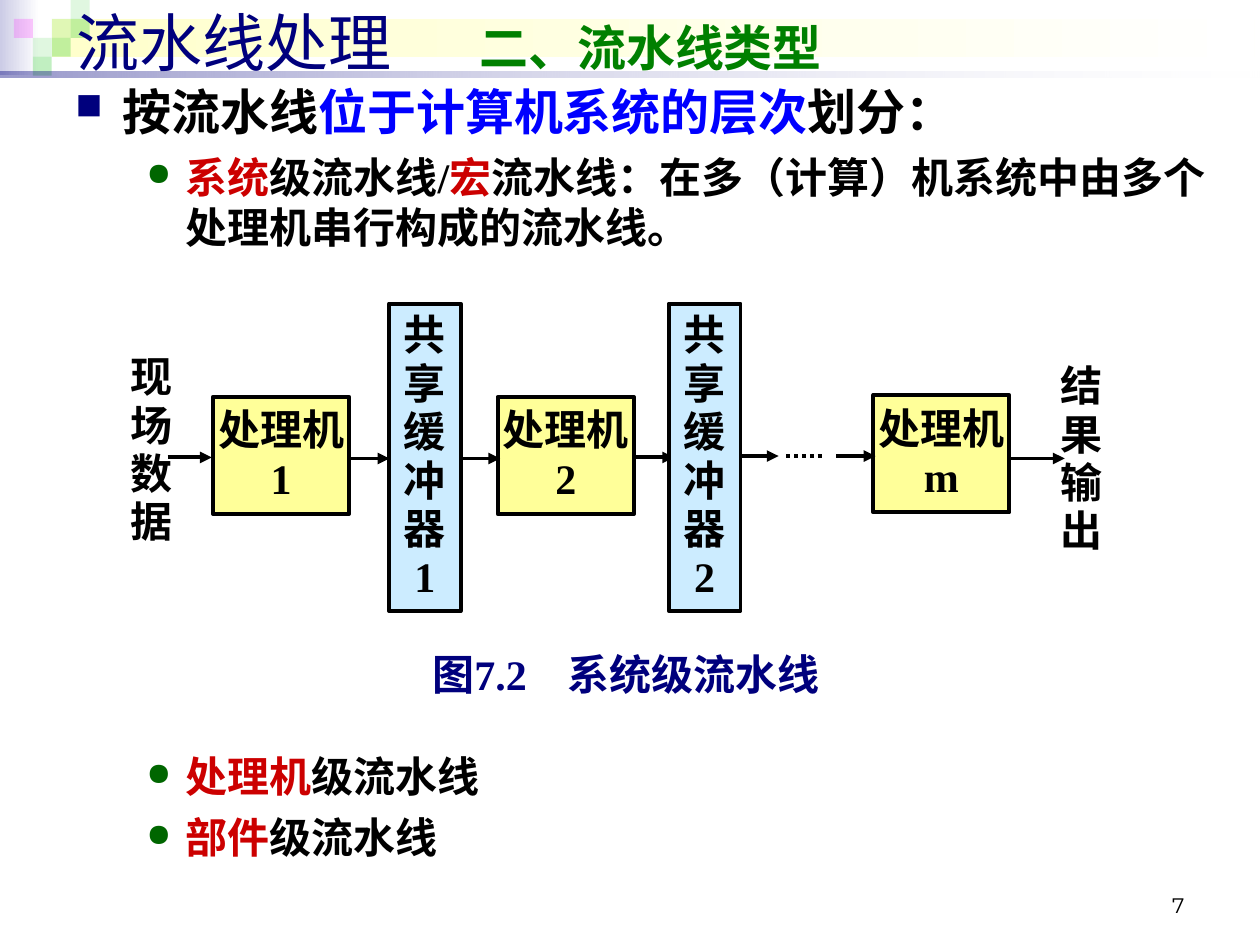
from lxml.etree import SubElement
from pptx import Presentation
from pptx.dml.color import RGBColor
from pptx.enum.dml import MSO_LINE
from pptx.enum.lang import MSO_LANGUAGE_ID
from pptx.enum.shapes import MSO_CONNECTOR, MSO_SHAPE
from pptx.enum.text import MSO_ANCHOR, MSO_AUTO_SIZE, PP_ALIGN
from pptx.oxml.ns import qn
from pptx.util import Pt

NAVY, BLACK, RED, GREEN = "00007D", "000000", "CC0000", "33CC33"


def rgb(color):
    return RGBColor.from_string(color)


def add_text(frame, text, size=24, font="Times New Roman", color=BLACK, bold=True,
             align=PP_ALIGN.LEFT, spacing=None, before=0, indent=None, bullet=None, tab=None):
    """Add one paragraph; text is a string or a list of (text, color) runs."""
    paragraph = frame.paragraphs[0]
    if paragraph.runs:
        paragraph = frame.add_paragraph()
    paragraph.alignment = align
    paragraph.space_before = Pt(before)
    if spacing:
        paragraph.line_spacing = spacing
    properties = paragraph._p.get_or_add_pPr()
    if indent:
        margin, hanging = indent
        properties.set("marL", str(Pt(margin)))
        properties.set("indent", str(-Pt(hanging)))
    if bullet:
        symbol, symbol_color = bullet
        SubElement(SubElement(properties, qn("a:buClr")), qn("a:srgbClr"), val=symbol_color)
        SubElement(properties, qn("a:buSzPct"), val="75000")
        SubElement(properties, qn("a:buChar"), char=symbol)
    if tab:
        stops = SubElement(properties, qn("a:tabLst"))
        SubElement(stops, qn("a:tab"), pos=str(Pt(tab)), algn="l")
    for part, part_color in [(text, color)] if isinstance(text, str) else text:
        run = paragraph.add_run()
        run.text = part
        run.font.size, run.font.name, run.font.bold = Pt(size), font, bold
        run.font.color.rgb = rgb(part_color)
        run.font.language_id = MSO_LANGUAGE_ID.SIMPLIFIED_CHINESE
    return paragraph


def set_frame(frame, inset=0, anchor=MSO_ANCHOR.TOP):
    frame.word_wrap = True
    frame.auto_size = MSO_AUTO_SIZE.NONE
    frame.vertical_anchor = anchor
    frame.margin_left = frame.margin_right = Pt(2 * inset)
    frame.margin_top = frame.margin_bottom = Pt(inset)
    return frame


def add_textbox(slide, box, **layout):
    return set_frame(slide.shapes.add_textbox(*map(Pt, box)).text_frame, **layout)


def add_rectangle(slide, box, colors, alphas=(), border=None):
    """Two colors give a left-to-right gradient; alphas are percentages."""
    rectangle = slide.shapes.add_shape(MSO_SHAPE.RECTANGLE, *map(Pt, box))
    rectangle.shadow.inherit = False
    if len(colors) == 2:
        rectangle.fill.gradient()
        rectangle.fill.gradient_angle = 0
        for stop, color in zip(rectangle.fill.gradient_stops, colors):
            stop.color.rgb = rgb(color)
    else:
        rectangle.fill.solid()
        rectangle.fill.fore_color.rgb = rgb(colors[0])
    for color_element, alpha in zip(rectangle._element.spPr.iter(qn("a:srgbClr")), alphas):
        SubElement(color_element, qn("a:alpha"), val=str(alpha * 1000))
    if border:
        rectangle.line.color.rgb = rgb(border)
        rectangle.line.width = Pt(2.25)
    else:
        rectangle.line.fill.background()
    return rectangle


def add_line(slide, start, end, y, dotted=False):
    line = slide.shapes.add_connector(MSO_CONNECTOR.STRAIGHT, Pt(start), Pt(y), Pt(end), Pt(y))
    line.line.color.rgb = rgb(BLACK)
    line.line.width = Pt(2.25)
    if dotted:
        line.line.dash_style = MSO_LINE.ROUND_DOT
    else:
        SubElement(line.line._get_or_add_ln(), qn("a:tailEnd"), type="triangle")
    SubElement(line._element.spPr, qn("a:effectLst"))


def add_header(slide, width):
    # Gradient bands
    add_rectangle(slide, (0, 0, 22.5, 43), ("CCCCE6", "FFFFFF"))
    add_rectangle(slide, (29.5, 10.8, width - 32.5, 21.6), ("FFFFCC", "FFFFFF"))
    # Mosaic of squares: column, row, color, opacity
    side = 10.8
    for column, row, color, alpha in [(2, 1, GREEN, 15), (3, 0, GREEN, 15), (3, 1, GREEN, 30),
                                      (1, 2, GREEN, 15), (0, 1, "FF00FF", 20),
                                      (2, 2, GREEN, 30), (1, 3, GREEN, 30)]:
        add_rectangle(slide, (8 + column * side, row * side, side, side), [color], [alpha])
    add_rectangle(slide, (0, 41, width, 3.6), (NAVY, "FFFFFF"), (40, 10))


def add_title(slide, box):
    title = slide.shapes.title
    title.left, title.top, title.width, title.height = map(Pt, box)
    frame = set_frame(title.text_frame, inset=3.6, anchor=MSO_ANCHOR.MIDDLE)
    heading = add_text(frame, [("流水线处理\t", NAVY), ("二、流水线类型", "008000")],
                       size=36, font="Arial", bold=False, tab=230)
    section = heading.runs[-1].font
    section.size, section.bold = Pt(28), True
    # Bring the title in front of the header bands
    slide.shapes._spTree.append(title._element)


def add_classification(slide, box):
    frame = add_textbox(slide, box, inset=3.6)
    add_text(frame, [("按流水线", BLACK), ("位于计算机系统的层次", "0000FF"), ("划分：", BLACK)],
             size=28, indent=(27, 27), bullet=("■", NAVY))
    system_level = [("系统", RED), ("级流水线/", BLACK), ("宏", RED),
                    ("流水线：在多（计算）机系统中由多个处理机串行构成的流水线。", BLACK)]
    # The large gap leaves room for the diagram
    for runs, before in [(system_level, 6),
                         ([("处理机", RED), ("级流水线", BLACK)], 285),
                         ([("部件", RED), ("级流水线", BLACK)], 6)]:
        add_text(frame, runs, before=before, indent=(63, 22.5), bullet=("●", "006600"))


def add_pipeline(slide, left, top):
    def add_label(frame, text):
        for line in text.split("\n"):
            add_text(frame, line, align=PP_ALIGN.CENTER, spacing=0.96)

    def add_stage(box, text, color):
        x, y, width, height = box
        stage = add_rectangle(slide, (left + x, top + y, width, height), [color], border=BLACK)
        add_label(set_frame(stage.text_frame, anchor=MSO_ANCHOR.MIDDLE), text)

    def add_buffer(x, number):
        add_stage((x, 0, 41, 175.7), f"共享\n缓冲器\n{number}", "CCECFF")

    # Input and output
    for x, y, width, text in [(0.5, 28.8, 31.7, "现场数据"), (531, 33.9, 34, "结果输出")]:
        add_label(add_textbox(slide, (left + x, top + y, width, 118)), text)
    # Processors and the first shared buffer
    for x, y, text in [(51.7, 53.3, "处理机\n1"), (214.4, 53.3, "处理机2"), (429, 52.3, "处理机m")]:
        add_stage((x, y, 77.8, 67), text, "FFFF99")
    add_buffer(152.3, 1)
    # Data flow
    for x, y, length in [(25.8, 87.9, 25.2), (130.2, 88.5, 22.3), (193.5, 88.5, 22.3),
                         (292.9, 87.9, 22.3), (352.6, 87.1, 22.3), (408, 87.1, 22.3),
                         (506.7, 88.5, 31.7)]:
        add_line(slide, left + x, left + x + length, top + y)
    add_line(slide, left + 379.3, left + 401.6, top + 87.1, dotted=True)
    # The second buffer covers the tip of the arrow that enters it
    add_buffer(312.2, 2)


def add_caption(slide, box):
    caption = add_rectangle(slide, box, ["FFFFFF"])
    add_text(set_frame(caption.text_frame), "图7.2\t系统级流水线", color=NAVY, spacing=0.96, tab=77.5)


def add_page_number(slide, box):
    frame = add_textbox(slide, box, inset=3.6, anchor=MSO_ANCHOR.BOTTOM)
    add_text(frame, "7", size=12, font="Montserrat", bold=False, align=PP_ALIGN.RIGHT)


def main():
    presentation = Presentation()
    presentation.slide_width, presentation.slide_height = Pt(720), Pt(540)
    slide = presentation.slides.add_slide(presentation.slide_layouts[5])
    add_header(slide, 720)
    add_page_number(slide, (516, 492, 168, 36))
    add_title(slide, (36.7, -2, 674.6, 51))
    add_classification(slide, (36, 43.2, 675.4, 487.4))
    add_caption(slide, (247, 372.2, 226, 27.4))
    add_pipeline(slide, 70, 173.5)
    presentation.save("out.pptx")


if __name__ == "__main__":
    main()
